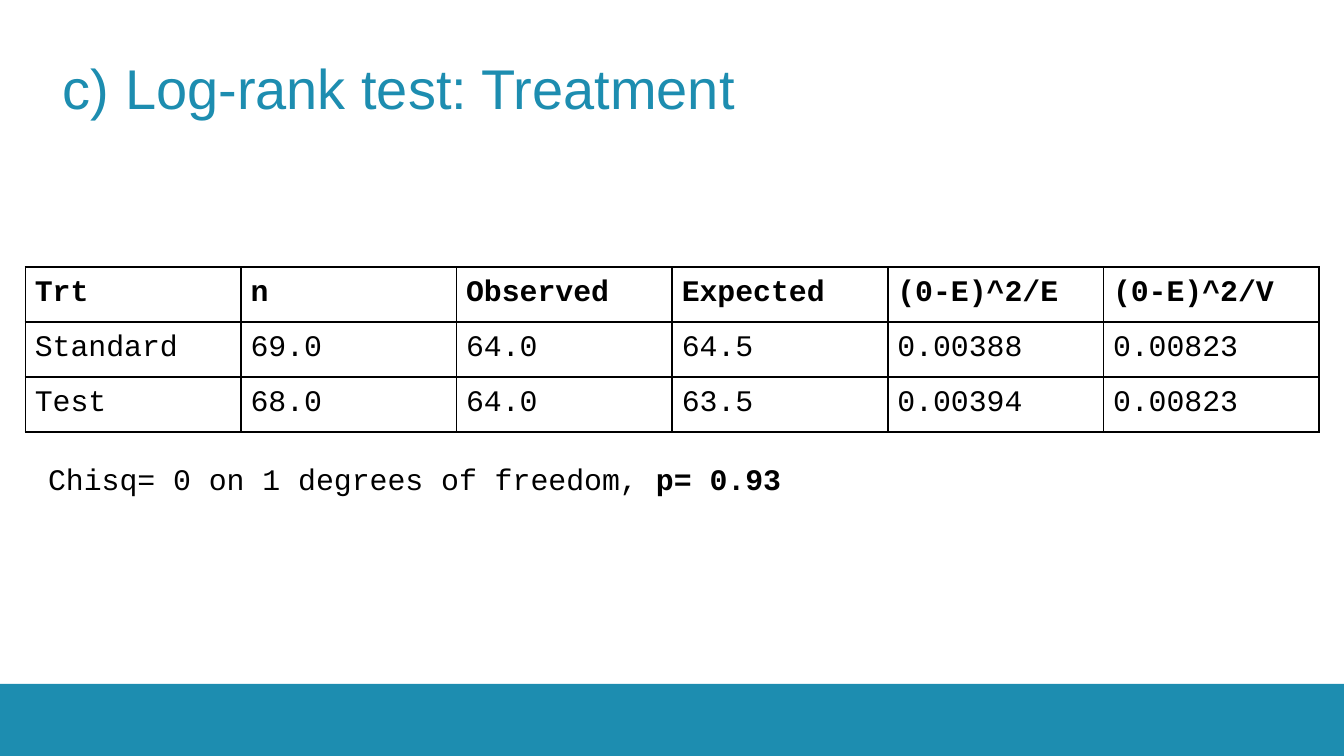
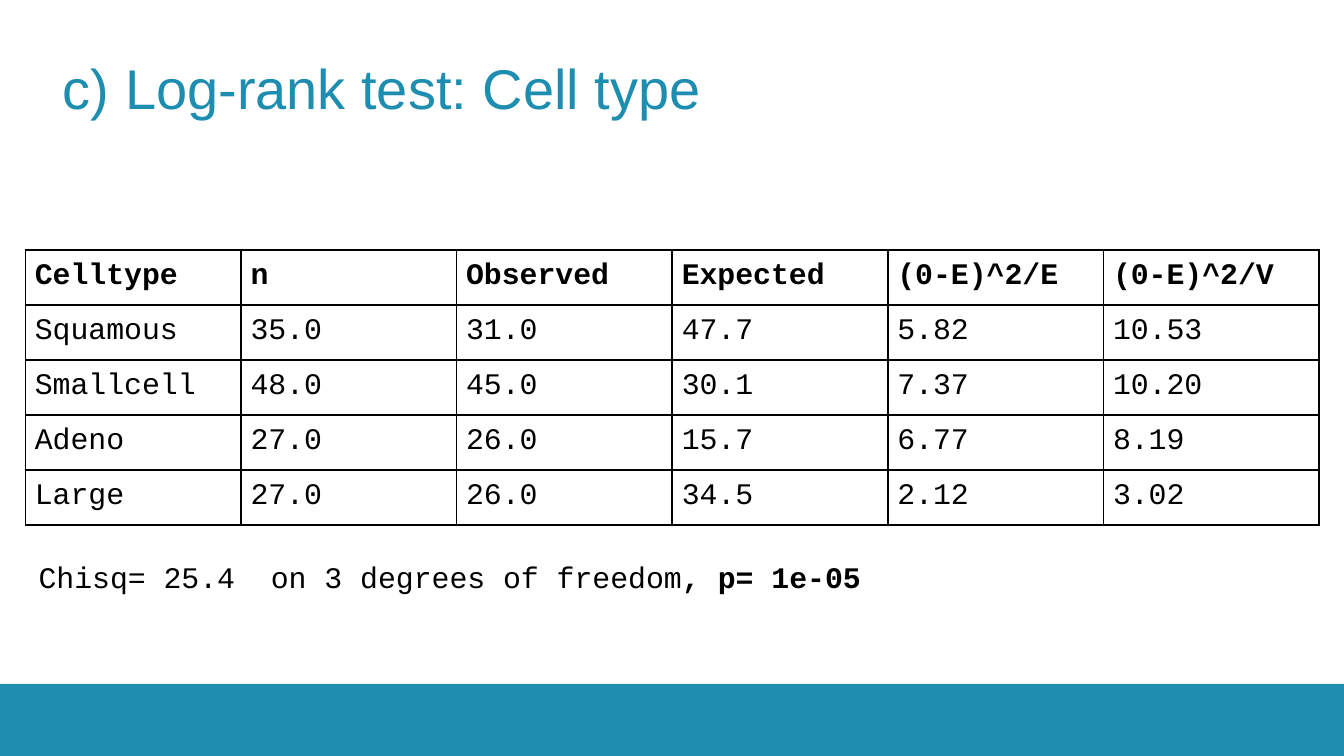
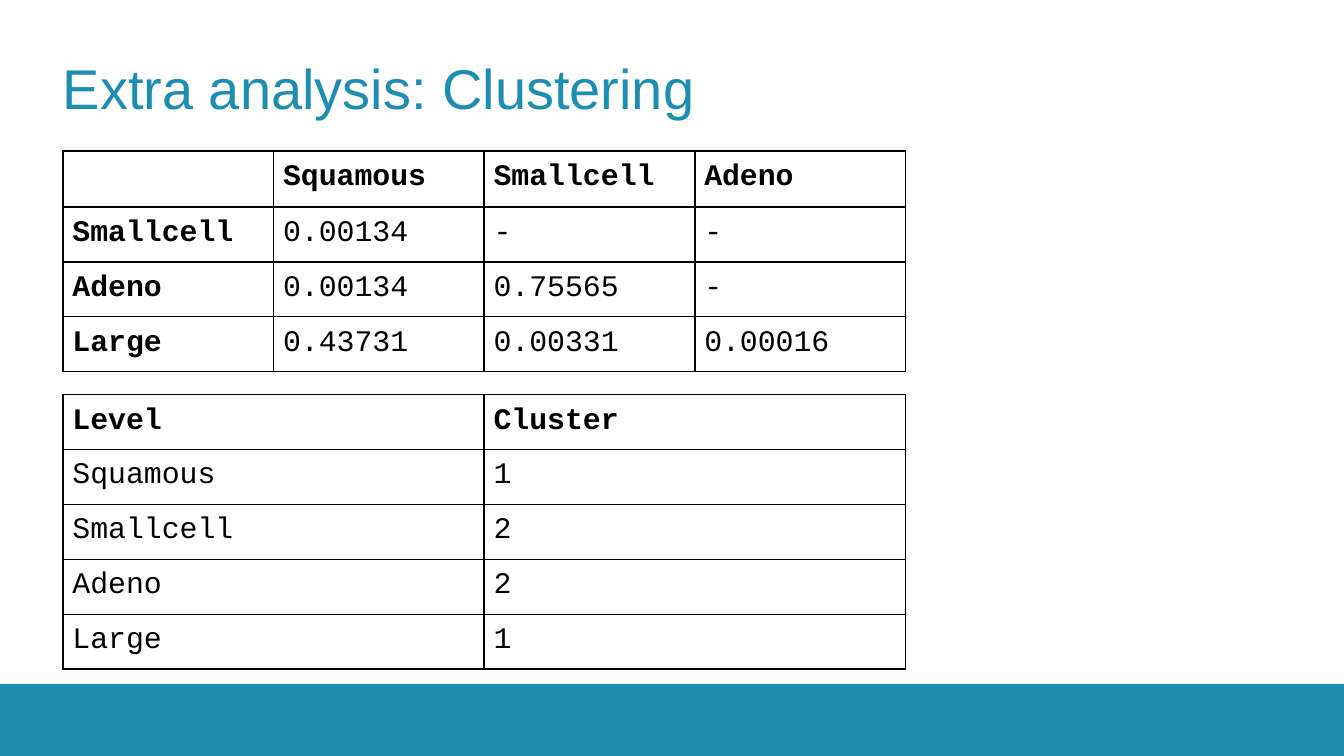
from lxml import etree
from pptx import Presentation
from pptx.dml.color import RGBColor
from pptx.enum.shapes import MSO_SHAPE
from pptx.enum.text import MSO_ANCHOR, PP_ALIGN
from pptx.oxml.ns import qn
from pptx.util import Cm, Pt

RECT = MSO_SHAPE.RECTANGLE
MIDDLE = MSO_ANCHOR.MIDDLE
JUSTIFY = PP_ALIGN.JUSTIFY
COLORS = {"accent": "1D8DB0", "text": "000000", "border": "000000"}
TITLE_FONT = "Arial"
MONO_FONT = "Courier New"
SLIDE_W, SLIDE_H = 25.4, 14.29
BAND_H = 1.36
MARGIN = 1.19
ROW_H = 0.99
CELL_INSET = 0.18
TEST_HEADER = ["n", "Observed", "Expected", "(0-E)^2/E", "(0-E)^2/V"]
TEST_X, TEST_W = 0.48, 24.45
CLUSTER_W = 15.92


def set_font(p, name, size, color):
    """Give a paragraph its typeface, size and colour."""
    p.font.name = name
    p.font.size = Pt(size)
    p.font.color.rgb = RGBColor.from_string(COLORS[color])


def set_insets(box, inset):
    """Set four equal margins on a text frame or table cell."""
    box.margin_left = box.margin_right = Cm(inset)
    box.margin_top = box.margin_bottom = Cm(inset)


def add_text_box(s, x, y, w, h, inset):
    """Add a wrapping text box and return its text frame."""
    tf = s.shapes.add_textbox(Cm(x), Cm(y), Cm(w), Cm(h)).text_frame
    tf.word_wrap = True
    set_insets(tf, inset)
    return tf


def add_base_slide(prs, title):
    """Add a slide with the bottom band and its title."""
    s = prs.slides.add_slide(prs.slide_layouts[6])
    band = s.shapes.add_shape(RECT, 0, Cm(SLIDE_H - BAND_H), Cm(SLIDE_W), Cm(BAND_H))
    band.shadow.inherit = False
    band.fill.solid()
    band.fill.fore_color.rgb = RGBColor.from_string(COLORS["accent"])
    band.line.fill.background()
    tf = add_text_box(s, MARGIN, 0.46, SLIDE_W - 2 * MARGIN, 2.39, 0)
    tf.vertical_anchor = MIDDLE
    p = tf.paragraphs[0]
    p.text = title
    set_font(p, TITLE_FONT, 30, "accent")
    return s


def add_borders(cell):
    """Draw a one-point line on every side of a cell."""
    tc_pr = cell._tc.get_or_add_tcPr()
    for side in ("a:lnL", "a:lnR", "a:lnT", "a:lnB"):
        line = etree.SubElement(tc_pr, qn(side), w=str(Pt(1)))
        fill = etree.SubElement(line, qn("a:solidFill"))
        etree.SubElement(fill, qn("a:srgbClr"), val=COLORS["border"])


def add_grid(s, x, y, w, rows, head_h=ROW_H, bold_first_col=False):
    """Add a ruled table with equal columns and a bold header row."""
    n_cols = len(rows[0])
    height = head_h + ROW_H * (len(rows) - 1)
    table = s.shapes.add_table(len(rows), n_cols, Cm(x), Cm(y), Cm(w), Cm(height)).table
    table.first_row = table.horz_banding = False
    for col in table.columns:
        col.width = Cm(w / n_cols)
    for i, values in enumerate(rows):
        table.rows[i].height = Cm(ROW_H if i else head_h)
        for j, value in enumerate(values):
            cell = table.cell(i, j)
            add_borders(cell)
            cell.fill.background()
            set_insets(cell, CELL_INSET)
            p = cell.text_frame.paragraphs[0]
            p.text = value
            set_font(p, MONO_FONT, 16, "text")
            p.font.bold = i == 0 or (bold_first_col and j == 0)


def add_result(s, x, y, w, plain, strong):
    """Add the chi-square line with its p-value in bold."""
    p = add_text_box(s, x, y, w, 1.19, 0.25).paragraphs[0]
    p.alignment = JUSTIFY
    p.line_spacing = 1.15
    set_font(p, MONO_FONT, 16, "text")
    p.add_run().text = plain
    r = p.add_run()
    r.text = strong
    r.font.bold = True


def treatment_slide(prs):
    """Build the log-rank test by treatment."""
    s = add_base_slide(prs, "c) Log-rank test: Treatment")
    add_grid(s, TEST_X, 5.05, TEST_W, [
        ["Trt", *TEST_HEADER],
        ["Standard", "69.0", "64.0", "64.5", "0.00388", "0.00823"],
        ["Test", "68.0", "64.0", "63.5", "0.00394", "0.00823"],
    ])
    add_result(s, 0.66, 8.36, 16.31, "Chisq= 0 on 1 degrees of freedom, ", "p= 0.93")


def cell_type_slide(prs):
    """Build the log-rank test by cell type."""
    s = add_base_slide(prs, "c) Log-rank test: Cell type")
    add_grid(s, TEST_X, 4.73, TEST_W, [
        ["Celltype", *TEST_HEADER],
        ["Squamous", "35.0", "31.0", "47.7", "5.82", "10.53"],
        ["Smallcell", "48.0", "45.0", "30.1", "7.37", "10.20"],
        ["Adeno", "27.0", "26.0", "15.7", "6.77", "8.19"],
        ["Large", "27.0", "26.0", "34.5", "2.12", "3.02"],
    ])
    add_result(s, TEST_X, 10.21, 17.07, "Chisq= 25.4  on 3 degrees of freedom", ", p= 1e-05")


def clustering_slide(prs):
    """Build the pairwise p-values and the resulting clusters."""
    s = add_base_slide(prs, "Extra analysis: Clustering")
    add_grid(s, MARGIN, 2.85, CLUSTER_W, [
        ["", "Squamous", "Smallcell", "Adeno"],
        ["Smallcell", "0.00134", "-", "-"],
        ["Adeno", "0.00134", "0.75565", "-"],
        ["Large", "0.43731", "0.00331", "0.00016"],
    ], head_h=1.06, bold_first_col=True)
    add_grid(s, MARGIN, 7.46, CLUSTER_W, [
        ["Level", "Cluster"],
        ["Squamous", "1"],
        ["Smallcell", "2"],
        ["Adeno", "2"],
        ["Large", "1"],
    ])


def main():
    """Build and save the presentation."""
    prs = Presentation()
    prs.slide_width, prs.slide_height = Cm(SLIDE_W), Cm(SLIDE_H)
    treatment_slide(prs)
    cell_type_slide(prs)
    clustering_slide(prs)
    prs.save("out.pptx")


if __name__ == "__main__":
    main()
